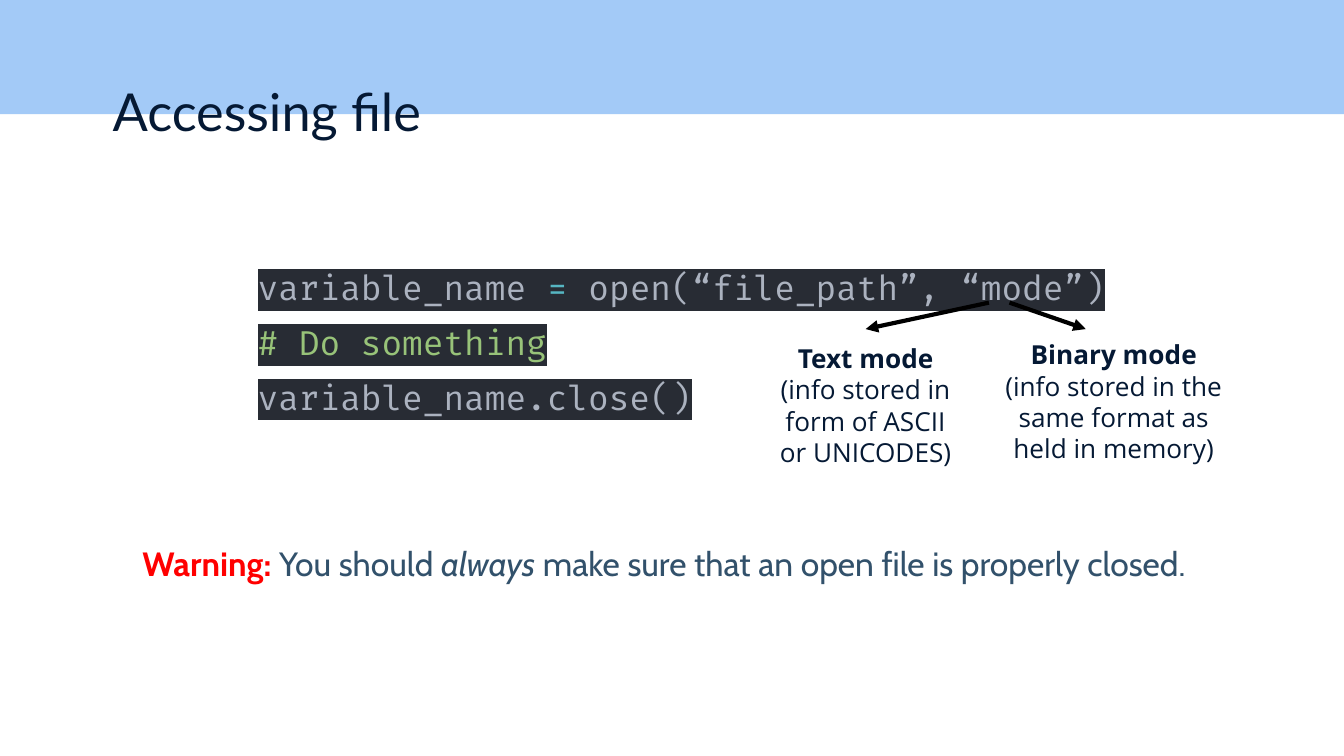
import pptx
import pptx.dml.color
import pptx.enum.shapes
import pptx.enum.text
import pptx.oxml.ns
import pptx.util
from lxml import etree
from pptx.util import Cm, Pt

NAVY, SLATE, RED, BLACK = "051934", "32516B", "FF0000", "000000"
BAND_BLUE = "A3CAF7"
CODE_GREY, CODE_CYAN, CODE_GREEN, CODE_BACK = "ABB2BF", "56B6C2", "98C379", "282C34"
ALIGN = pptx.enum.text.PP_ALIGN
INSET = 0.25

# Each run is (text, colour, style); style is "b", "i" or "".
TITLE = [[("Accessing file", NAVY, "")]]
WARNING = [[
    ("Warning: ", RED, "b"),
    ("You should ", SLATE, ""),
    ("always", SLATE, "i"),
    (" make sure that an open file is properly closed.", SLATE, ""),
]]
CODE = [
    [("variable_name ", CODE_GREY, ""), ("=", CODE_CYAN, ""),
     (" open(“file_path”, “mode”)", CODE_GREY, "")],
    [("# Do something", CODE_GREEN, "")],
    [("variable_name.close()", CODE_GREY, "")],
]
# Box (left, top, width, height) in cm, heading, explanation, arrow start and end
MODES = [
    ((14.33, 6.22, 4.06, 3.0), "Text mode",
     "(info stored in form of ASCII or UNICODES)", (18.69, 5.72), (16.36, 6.22)),
    ((18.69, 6.15, 4.72, 3.15), "Binary mode",
     "(info stored in the same format as held in memory)", (19.08, 5.72), (20.52, 6.22)),
]


def rgb(colour):
    return pptx.dml.color.RGBColor.from_string(colour)


def add_xml(parent, tag, **attributes):
    return etree.SubElement(parent, pptx.oxml.ns.qn(tag), attributes)


def highlight(run, colour):
    """Put a background colour behind a run whose font colour is already set."""
    properties = run.font._element
    mark = add_xml(properties, "a:highlight")
    add_xml(mark, "a:srgbClr", val=colour)
    properties.find(pptx.oxml.ns.qn("a:solidFill")).addnext(mark)


def write(shape, paragraphs, font, size, align=ALIGN.LEFT, spacing=None, back=None):
    frame = shape.text_frame
    frame.word_wrap = True
    frame.auto_size = pptx.enum.text.MSO_AUTO_SIZE.NONE
    frame.vertical_anchor = pptx.enum.text.MSO_ANCHOR.TOP
    frame.margin_left = frame.margin_right = Cm(INSET)
    frame.margin_top = frame.margin_bottom = Cm(INSET)
    for index, runs in enumerate(paragraphs):
        paragraph = frame.add_paragraph() if index else frame.paragraphs[0]
        paragraph.alignment = align
        paragraph.line_spacing = spacing
        for text, colour, style in runs:
            run = paragraph.add_run()
            run.text = text
            run.font.size = Pt(size)
            run.font.bold = style == "b"
            run.font.italic = style == "i"
            run.font.color.rgb = rgb(colour)
            if back:
                highlight(run, back)
            run.font.name = font


def add_text(slide, box, *content, **options):
    shape = slide.shapes.add_textbox(*map(Cm, box))
    write(shape, *content, **options)
    return shape


def add_arrow(slide, start, end):
    arrow = slide.shapes.add_connector(
        pptx.enum.shapes.MSO_CONNECTOR.STRAIGHT, *map(Cm, start + end))
    arrow.line.color.rgb = rgb(BLACK)
    arrow.line.width = Pt(2.25)
    add_xml(arrow.line._get_or_add_ln(), "a:tailEnd", type="triangle")
    add_xml(arrow.element.spPr, "a:effectLst")


def main():
    presentation = pptx.Presentation()
    presentation.slide_width = Cm(25.4)
    presentation.slide_height = Cm(14.29)
    slide = presentation.slides.add_slide(presentation.slide_layouts[5])

    title = slide.shapes.title
    title.left, title.top, title.width, title.height = map(Cm, (1.88, 1.24, 19.63, 1.6))
    write(title, TITLE, "Lato", 28)

    band = slide.shapes.add_shape(
        pptx.enum.shapes.MSO_SHAPE.RECTANGLE, 0, 0, presentation.slide_width, Cm(2.16))
    band.fill.solid()
    band.fill.fore_color.rgb = rgb(BAND_BLUE)
    band.line.fill.background()
    band.shadow.inherit = False
    title.element.addprevious(band.element)  # behind the title

    warning = add_text(slide, (2.44, 10.13, 23.16, 1.02), WARNING, "Cabin", 18)
    warning.text_frame.margin_top = warning.text_frame.margin_bottom = Cm(0.13)
    warning.text_frame.auto_size = pptx.enum.text.MSO_AUTO_SIZE.SHAPE_TO_FIT_TEXT

    add_text(slide, (4.62, 4.52, 16.89, 4.29), CODE, "Fira Code", 18,
             spacing=1.36, back=CODE_BACK)

    for box, heading, explanation, start, end in MODES:
        paragraphs = [[(heading, NAVY, "b")], [(explanation, NAVY, "")]]
        add_text(slide, box, paragraphs, "Open Sans", 14, align=ALIGN.CENTER)
    for box, heading, explanation, start, end in MODES:
        add_arrow(slide, start, end)

    presentation.save("out.pptx")


if __name__ == "__main__":
    main()
